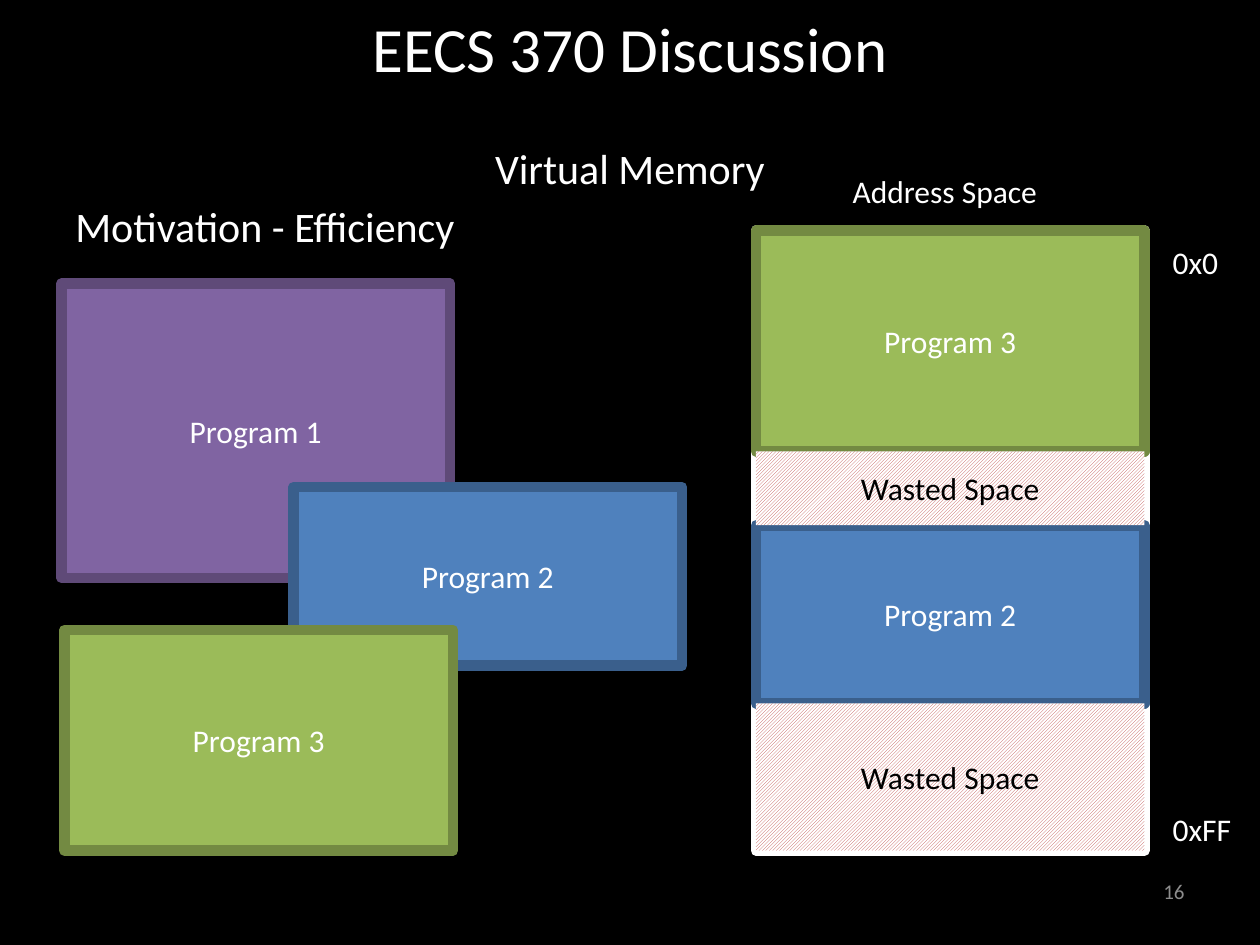
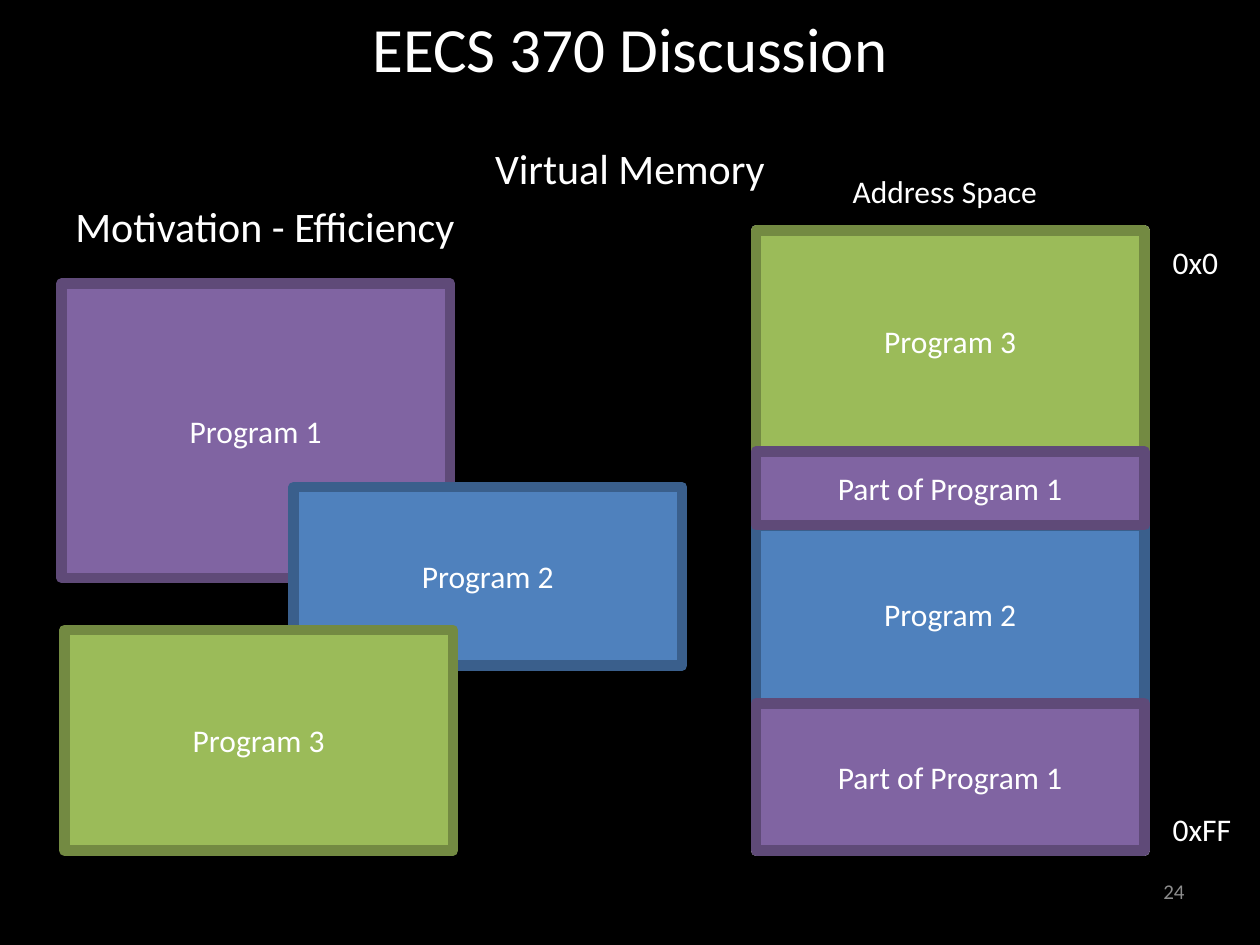
from pptx import Presentation
from pptx.dml.color import RGBColor
from pptx.enum.dml import MSO_PATTERN_TYPE
from pptx.enum.shapes import MSO_SHAPE
from pptx.enum.text import MSO_ANCHOR, PP_ALIGN
from pptx.util import Cm, Pt

RECTANGLE = MSO_SHAPE.RECTANGLE
HATCH = MSO_PATTERN_TYPE.LIGHT_UPWARD_DIAGONAL
LEFT, CENTER, RIGHT = PP_ALIGN.LEFT, PP_ALIGN.CENTER, PP_ALIGN.RIGHT
TOP, MIDDLE = MSO_ANCHOR.TOP, MSO_ANCHOR.MIDDLE

FONT = "Calibri"
COLORS = {
    "background": "000000",
    "white": "FFFFFF",
    "black": "000000",
    "page number": "8C8C8C",
    "hatch": "C0504D",
    "purple": "8064A2",
    "purple edge": "5F4A78",
    "blue": "4F81BD",
    "blue edge": "3A5F8C",
    "green": "9BBB59",
    "green edge": "738A42",
}
COLORS = {name: RGBColor.from_string(value) for name, value in COLORS.items()}

BLOCK_WIDTH = 7.83
SPACE_LEFT, SPACE_TOP = 15.24, 4.65

# Label, left, top, height, color
PROGRAMS = [
    ("Program 1", 1.24, 5.72, 5.93, "purple"),
    ("Program 2", 5.92, 9.82, 3.6, "blue"),
    ("Program 3", 1.3, 12.7, 4.45, "green"),
]
# Label, height, color; a band without a label is a gap between programs
BANDS = [
    ("Program 3", 4.45, "green"),
    (None, 1.49, None),
    ("Program 2", 3.59, "blue"),
    (None, 2.97, None),
]
SPACE_HEIGHT = sum(height for _, height, _ in BANDS)

# Page number, gap label, gap color
PAGES = [
    ("16", "Wasted Space", "hatch"),
    ("24", "Part of Program 1", "purple"),
]
# Text, left, top, width
LABELS = [
    ("Address Space", 16.94, 3.35, 6.55),
    ("0x0", 23.39, 4.78, 2),
    ("0xFF", 23.39, 16.21, 2),
]


def write(box, text, size=18, color="white", align=LEFT, anchor=TOP, before=0):
    """Fill a shape with text, one paragraph a line; align may be a list."""
    frame = box.text_frame
    frame.word_wrap = True
    frame.vertical_anchor = anchor
    lines = text.split("\n")
    aligns = align if isinstance(align, list) else [align] * len(lines)
    for index, (line, alignment) in enumerate(zip(lines, aligns)):
        para = frame.add_paragraph() if index else frame.paragraphs[0]
        para.alignment = alignment
        para.space_before = Pt(before)
        span = para.add_run()
        span.text = line
        span.font.name = FONT
        span.font.size = Pt(size)
        span.font.color.rgb = COLORS[color]


def add_block(page, left, top, height, color=None, label=None):
    """Draw a program, a hatched gap, or the empty white frame."""
    block = page.shapes.add_shape(
        RECTANGLE, Cm(left), Cm(top), Cm(BLOCK_WIDTH), Cm(height))
    block.shadow.inherit = False
    if color == "hatch":
        block.fill.patterned()
        block.fill.pattern = HATCH
        block.fill.fore_color.rgb = COLORS["hatch"]
        block.fill.back_color.rgb = COLORS["white"]
        block.line.fill.background()
    else:
        if color:
            block.fill.solid()
            block.fill.fore_color.rgb = COLORS[color]
        else:
            block.fill.background()
        block.line.color.rgb = COLORS[f"{color} edge" if color else "white"]
        block.line.width = Pt(6)
    if label:
        write(block, label, color="black" if color == "hatch" else "white",
              align=CENTER, anchor=MIDDLE)


deck = Presentation()
deck.slide_width, deck.slide_height = Cm(25.4), Cm(19.05)
background = deck.slide_master.background.fill
background.solid()
background.fore_color.rgb = COLORS["background"]
title_only = deck.slide_layouts.get_by_name("Title Only")

for number, gap_label, gap_color in PAGES:
    page = deck.slides.add_slide(title_only)
    title = page.shapes.title
    title.left, title.top = Cm(1.27), Cm(-0.64)
    title.width, title.height = Cm(22.86), Cm(3.18)
    write(title, "EECS 370 Discussion", size=36, align=CENTER, anchor=MIDDLE)

    headings = page.shapes.add_textbox(Cm(1.27), Cm(2.74), Cm(22.86), Cm(2.6))
    write(headings, "Virtual Memory\nMotivation - Efficiency", size=24,
          align=[CENTER, LEFT], before=4.8)
    number_box = page.shapes.add_textbox(Cm(18.2), Cm(17.45), Cm(5.93), Cm(1.02))
    write(number_box, number, size=12, color="page number", align=RIGHT,
          anchor=MIDDLE)

    add_block(page, SPACE_LEFT, SPACE_TOP, SPACE_HEIGHT)
    for text, left, top, width in LABELS:
        write(page.shapes.add_textbox(Cm(left), Cm(top), Cm(width), Cm(1.03)), text)

    for label, left, top, height, color in PROGRAMS:
        add_block(page, left, top, height, color, label)

    gaps = []
    top = SPACE_TOP
    for label, height, color in BANDS:
        if label:
            add_block(page, SPACE_LEFT, top, height, color, label)
        else:
            gaps.append((top, height))
        top += height
    # Gaps come last so that they cover the edges of the programs
    for top, height in gaps:
        add_block(page, SPACE_LEFT, top, height, gap_color, gap_label)

deck.save("out.pptx")
